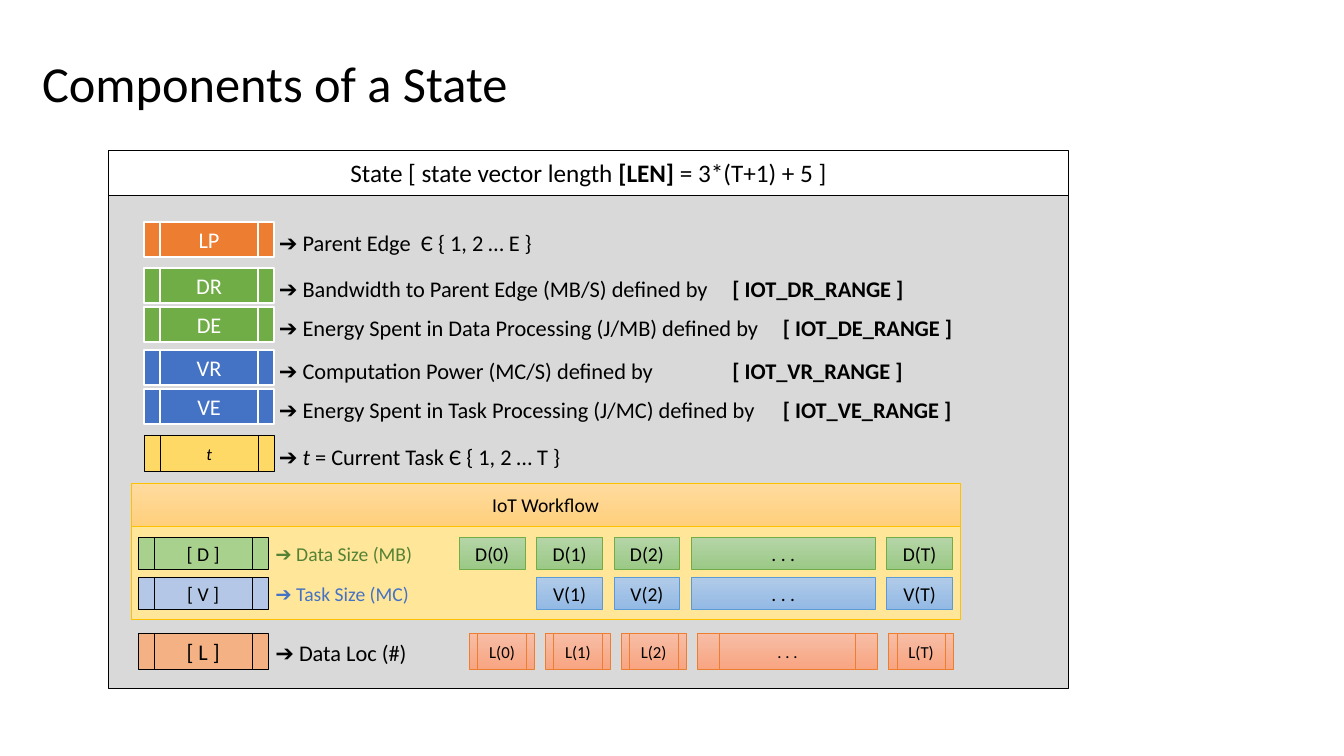
from dataclasses import dataclass
from typing import NamedTuple

from pptx import Presentation
from pptx.dml.color import RGBColor
from pptx.enum.shapes import MSO_SHAPE
from pptx.enum.text import MSO_ANCHOR, MSO_AUTO_SIZE, PP_ALIGN
from pptx.util import Cm, Pt

RECT = MSO_SHAPE.RECTANGLE
PROCESS = MSO_SHAPE.FLOWCHART_PREDEFINED_PROCESS
MIDDLE = MSO_ANCHOR.MIDDLE
CENTER = PP_ALIGN.CENTER
GROW = MSO_AUTO_SIZE.SHAPE_TO_FIT_TEXT

FONT = "Calibri"
BLACK = RGBColor(0x00, 0x00, 0x00)
WHITE = RGBColor(0xFF, 0xFF, 0xFF)
GRAY = RGBColor(0xD9, 0xD9, 0xD9)
ORANGE = RGBColor(0xED, 0x7D, 0x31)
GREEN = RGBColor(0x70, 0xAD, 0x47)
BLUE = RGBColor(0x44, 0x72, 0xC4)
SKY = RGBColor(0x5B, 0x9B, 0xD5)
GOLD = RGBColor(0xFF, 0xC0, 0x00)
YELLOW = RGBColor(0xFF, 0xD9, 0x66)
CREAM = RGBColor(0xFF, 0xE6, 0x99)
PEACH = RGBColor(0xF4, 0xB1, 0x83)
LEAF = RGBColor(0xA9, 0xD1, 0x8E)
ICE = RGBColor(0xB4, 0xC7, 0xE7)
MOSS = RGBColor(0x54, 0x82, 0x35)
AMBER_TOP = RGBColor(0xFF, 0xDB, 0x9E)
AMBER_END = RGBColor(0xFF, 0xD0, 0x7C)
GREEN_TOP = RGBColor(0xB5, 0xD5, 0xA7)
GREEN_END = RGBColor(0x9C, 0xC9, 0x87)
BLUE_TOP = RGBColor(0xB1, 0xCB, 0xE9)
BLUE_END = RGBColor(0x93, 0xB9, 0xE4)
CORAL_TOP = RGBColor(0xF7, 0xBD, 0xA5)
CORAL_END = RGBColor(0xF8, 0xA5, 0x82)


class Box(NamedTuple):
    left: float
    top: float
    width: float
    height: float


class Paint(NamedTuple):
    top: RGBColor
    end: RGBColor
    edge: RGBColor
    weight: float = 0.5


class Part(NamedTuple):
    text: str
    bold: bool = False
    slant: bool = False


class Style(NamedTuple):
    size: int
    color: RGBColor = BLACK


@dataclass
class Field:
    top: float
    tag: Part
    paint: Paint
    style: Style
    note: list[Part]


@dataclass
class Vector:
    name: str
    top: float
    height: float
    tag: RGBColor
    note: str
    style: Style
    kind: MSO_SHAPE
    paint: Paint
    left: float
    width: float
    wide: float
    gap: float
    size: int
    first: int = 0


def solid(color: RGBColor, edge: RGBColor, weight: float = 0.5) -> Paint:
    return Paint(color, color, edge, weight)


def write(frame, parts: list[Part], style: Style) -> None:
    line = frame.paragraphs[0]
    line.font.name = FONT
    line.font.size = Pt(style.size)
    line.font.color.rgb = style.color
    for part in parts:
        run = line.add_run()
        run.text = part.text
        if part.bold:
            run.font.bold = True
        if part.slant:
            run.font.italic = True


def draw(kind: MSO_SHAPE, box: Box, paint: Paint,
         parts: list[Part], style: Style = Style(16)) -> None:
    shape = slide.shapes.add_shape(kind, *map(Cm, box))
    shape.shadow.inherit = False
    if paint.top == paint.end:
        shape.fill.solid()
        shape.fill.fore_color.rgb = paint.top
    else:
        shape.fill.gradient()
        shape.fill.gradient_angle = 270
        for stop, color in zip(shape.fill.gradient_stops, (paint.top, paint.end)):
            stop.color.rgb = color
    shape.line.color.rgb = paint.edge
    shape.line.width = Pt(paint.weight)
    if parts:
        frame = shape.text_frame
        frame.margin_left = frame.margin_right = 0
        frame.margin_top = frame.margin_bottom = 0
        frame.vertical_anchor = MIDDLE
        frame.paragraphs[0].alignment = CENTER
        write(frame, parts, style)


def label(box: Box, parts: list[Part], style: Style, wrap: bool = True) -> None:
    frame = slide.shapes.add_textbox(*map(Cm, box)).text_frame
    frame.word_wrap = wrap
    frame.auto_size = GROW
    write(frame, parts, style)


def draw_field(field: Field) -> None:
    draw(PROCESS, Box(3.63, field.top, 3.28, 0.89), field.paint, [field.tag], field.style)
    label(Box(6.78, field.top + 0.05, 17.96, 0.94), field.note, Style(16))


def draw_vector(row: Vector) -> None:
    draw(PROCESS, Box(3.48, row.top, 3.28, row.height), solid(row.tag, BLACK),
         [Part(f"[ {row.name} ]")], Style(row.style.size))
    label(Box(6.69, row.top, 4.7, 0.82), [Part(row.note)], row.style)
    left = row.left
    for step, mark in enumerate(("0", "1", "2", "", "T")):
        width = row.width if mark else row.wide
        text = f"{row.name}({mark})" if mark else ". . ."
        if step >= row.first:
            draw(row.kind, Box(left, row.top, width, row.height), row.paint,
                 [Part(text)], Style(row.size))
        left += width + row.gap


def ranged(text: str, code: str, tabs: int = 1) -> list[Part]:
    return [Part(f"➔ {text} defined by " + "\t" * tabs),
            Part(f"[ IOT_{code}_RANGE ]", bold=True)]


LIGHT = Style(16, WHITE)
GREENS = solid(GREEN, WHITE, 1.5)
BLUES = solid(BLUE, WHITE, 1.5)

FIELDS = [
    Field(5.59, Part("LP"), solid(ORANGE, WHITE, 1.5), LIGHT,
          [Part("➔ Parent Edge  Є { 1, 2 … E }")]),
    Field(6.75, Part("DR"), GREENS, LIGHT,
          ranged("Bandwidth to Parent Edge (MB/S)", "DR")),
    Field(7.73, Part("DE"), GREENS, LIGHT,
          ranged("Energy Spent in Data Processing (J/MB)", "DE")),
    Field(8.82, Part("VR"), BLUES, LIGHT,
          ranged("Computation Power (MC/S)", "VR", 2)),
    Field(9.8, Part("VE"), BLUES, LIGHT,
          ranged("Energy Spent in Task Processing (J/MC)", "VE")),
    Field(10.98, Part("t", slant=True), solid(YELLOW, BLACK), Style(12),
          [Part("➔ "), Part("t", slant=True), Part(" = Current Task Є { 1, 2 … T }")]),
]

VECTORS = [
    Vector("D", 13.53, 0.82, LEAF, "➔ Data Size (MB)", Style(14, MOSS), RECT,
           Paint(GREEN_TOP, GREEN_END, GREEN), 11.58, 1.65, 4.62, 0.3, 14),
    Vector("V", 14.55, 0.8, ICE, "➔ Task Size (MC)", Style(14, BLUE), RECT,
           Paint(BLUE_TOP, BLUE_END, SKY), 11.58, 1.65, 4.62, 0.3, 14, 1),
    Vector("L", 15.97, 0.89, PEACH, "➔ Data Loc (#)", Style(16), PROCESS,
           Paint(CORAL_TOP, CORAL_END, ORANGE), 11.84, 1.63, 4.55, 0.28, 12),
]

deck = Presentation()
deck.slide_width = Cm(33.87)
deck.slide_height = Cm(19.05)
slide = deck.slides.add_slide(deck.slide_layouts[6])

label(Box(0.81, 1.19, 12.34, 1.8), [Part("Components of a State")], Style(36), False)
draw(RECT, Box(2.74, 4.24, 24.18, 13.11), solid(GRAY, BLACK), [])
draw(RECT, Box(2.74, 3.78, 24.18, 1.14), solid(WHITE, BLACK),
     [Part("State [ state vector length "), Part("[LEN] ", bold=True),
      Part("= 3*(T+1) + 5 ]")], Style(18))
for field in FIELDS:
    draw_field(field)
draw(RECT, Box(3.3, 12.17, 20.9, 3.45), solid(CREAM, GOLD), [])
draw(RECT, Box(3.3, 12.19, 20.9, 1.07), Paint(AMBER_TOP, AMBER_END, GOLD),
     [Part("IoT Workflow")], Style(14))
for row in VECTORS:
    draw_vector(row)

deck.save("out.pptx")
